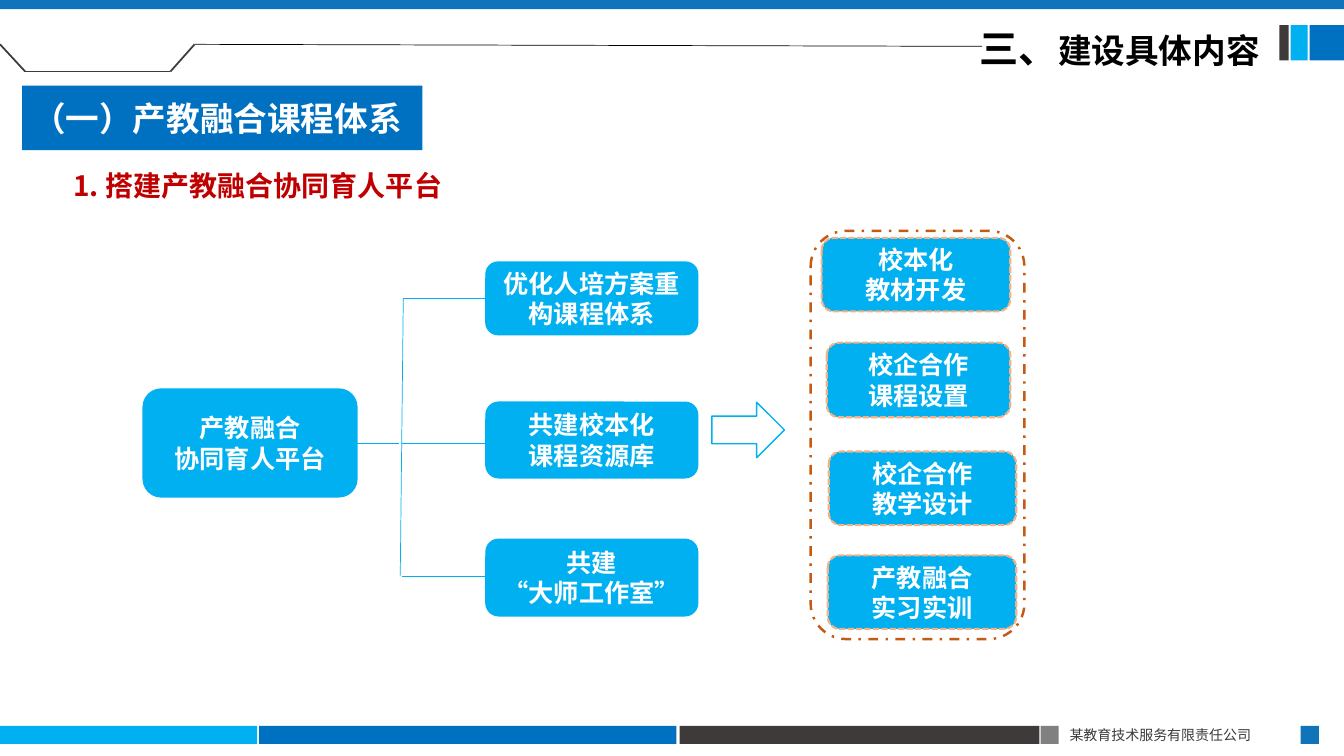
from pptx import Presentation
from pptx.dml.color import RGBColor
from pptx.enum.dml import MSO_LINE
from pptx.enum.shapes import MSO_CONNECTOR, MSO_SHAPE
from pptx.enum.text import MSO_ANCHOR, PP_ALIGN
from pptx.oxml.ns import qn
from pptx.util import Inches, Pt
from lxml import etree

RECT = MSO_SHAPE.RECTANGLE
ROUNDED = MSO_SHAPE.ROUNDED_RECTANGLE
ARROW = MSO_SHAPE.RIGHT_ARROW
STRAIGHT = MSO_CONNECTOR.STRAIGHT
SYS_DASH = MSO_LINE.SQUARE_DOT
DASH_DOT = MSO_LINE.DASH_DOT
LEFT, CENTER = PP_ALIGN.LEFT, PP_ALIGN.CENTER
TOP, MIDDLE = MSO_ANCHOR.TOP, MSO_ANCHOR.MIDDLE

SKY = RGBColor(0x00, 0xB0, 0xF0)
BLUE = RGBColor(0x00, 0x70, 0xC0)
STEEL = RGBColor(0x10, 0x74, 0xBB)
CHARCOAL = RGBColor(0x3E, 0x3A, 0x39)
GRAY = RGBColor(0x80, 0x80, 0x80)
WHITE = RGBColor(0xFF, 0xFF, 0xFF)
BLACK = RGBColor(0x00, 0x00, 0x00)
RED = RGBColor(0xC0, 0x00, 0x00)
PEACH = RGBColor(0xF4, 0xB1, 0x83)
RUST = RGBColor(0xC5, 0x5A, 0x11)
FONT = "Noto Sans CJK SC"

deck = Presentation()
deck.slide_width = Inches(13.33)
deck.slide_height = Inches(7.5)
page = deck.slides.add_slide(deck.slide_layouts[6])


def add_block(kind, place, fill, line=None, width=1, dash=None):
    block = page.shapes.add_shape(kind, *[Inches(v) for v in place])
    block.shadow.inherit = False
    if fill is None:
        block.fill.background()
    else:
        block.fill.solid()
        block.fill.fore_color.rgb = fill
    if line is None:
        block.line.fill.background()
    else:
        block.line.color.rgb = line
        block.line.width = Pt(width)
        block.line.dash_style = dash
    return block


def write(box, lines, color, align=LEFT, anchor=MIDDLE, bold=True):
    frame = box.text_frame
    frame.word_wrap = True
    frame.vertical_anchor = anchor
    for index, pieces in enumerate(lines):
        para = frame.paragraphs[0] if index == 0 else frame.add_paragraph()
        para.alignment = align
        para.line_spacing = Pt(1.2 * max(size for _, size in pieces))
        for text, size in pieces:
            span = para.add_run()
            span.text = text
            span.font.name = FONT
            span.font.size = Pt(size)
            span.font.bold = bold
            span.font.color.rgb = color
            east = etree.SubElement(span.font._element, qn("a:ea"))
            east.set("typeface", FONT)


bars = [
    (0, 7.2, 2.55, 0.18, SKY),
    (2.57, 7.2, 4.14, 0.18, BLUE),
    (6.74, 7.2, 3.57, 0.18, CHARCOAL),
    (10.32, 7.2, 0.18, 0.18, GRAY),
    (12.9, 7.2, 0.18, 0.18, STEEL),
    (12.99, 0.25, 0.34, 0.35, BLUE),
    (12.8, 0.25, 0.17, 0.35, SKY),
    (12.69, 0.25, 0.09, 0.35, CHARCOAL),
    (0, 0, 13.33, 0.09, STEEL),
]
for *place, fill in bars:
    add_block(RECT, place, fill)

links = [
    (3.53, 4.4, 3.96, 4.4, SKY, 0.5),
    (4, 2.96, 3.97, 5.71, SKY, 0.5),
    (4, 2.96, 4.82, 2.96, SKY, 0.5),
    (3.99, 4.4, 4.82, 4.4, SKY, 0.5),
    (3.99, 5.72, 4.82, 5.72, SKY, 0.5),
    (0.25, 0.71, 1.69, 0.71, CHARCOAL, 1.25),
    (1.69, 0.71, 1.93, 0.44, CHARCOAL, 1.25),
    (0.25, 0.71, 0, 0.44, CHARCOAL, 1.25),
    (1.93, 0.44, 9.74, 0.46, BLACK, 0.5),
]
for *ends, color, width in links:
    link = page.shapes.add_connector(STRAIGHT, *[Inches(v) for v in ends])
    link.line.color.rgb = color
    link.line.width = Pt(width)
    etree.SubElement(link._element.spPr, qn("a:effectLst"))

heading = add_block(RECT, (0.22, 0.85, 3.97, 0.64), BLUE)
write(heading, [[("（一）产教融合课程体系", 24)]], WHITE)

stages = [
    (1.42, 3.86, 2.12, 1.07, ["产教融合", "协同育人平台"]),
    (4.82, 2.6, 2.1, 0.72, ["优化人培方案重构课程体系"]),
    (4.82, 3.99, 2.1, 0.75, ["共建校本化", "课程资源库"]),
    (4.82, 5.35, 2.1, 0.76, ["共建", "“大师工作室”"]),
]
outcomes = [
    (8.15, 2.36, 1.87, 0.73, ["校本化", "教材开发"]),
    (8.2, 3.4, 1.82, 0.74, ["校企合作", "课程设置"]),
    (8.22, 4.48, 1.86, 0.73, ["校企合作", "教学设计"]),
    (8.21, 5.51, 1.87, 0.73, ["产教融合", "实习实训"]),
]
for nodes, line, width, dash in [(stages, SKY, 1, None), (outcomes, PEACH, 1.5, SYS_DASH)]:
    for *place, lines in nodes:
        node = add_block(ROUNDED, place, SKY, line, width, dash)
        write(node, [[(text, 18)] for text in lines], WHITE, CENTER)

add_block(ARROW, (7.06, 3.99, 0.72, 0.55), WHITE, SKY)
add_block(ROUNDED, (8.04, 2.29, 2.12, 4.05), None, RUST, 1.75, DASH_DOT)

captions = [
    (0.63, 1.62, 4.51, 0.44, [("1. 搭建产教融合协同育人平台", 20)], RED, True),
    (9.62, 0.19, 3.37, 0.52, [("三、", 28), ("建设具体内容", 24)], BLACK, True),
    (10.51, 7.16, 2.4, 0.27, [("某教育技术服务有限责任公司", 10)], CHARCOAL, False),
]
for *place, pieces, color, bold in captions:
    caption = page.shapes.add_textbox(*[Inches(v) for v in place])
    write(caption, [pieces], color, anchor=TOP, bold=bold)

deck.save("out.pptx")
